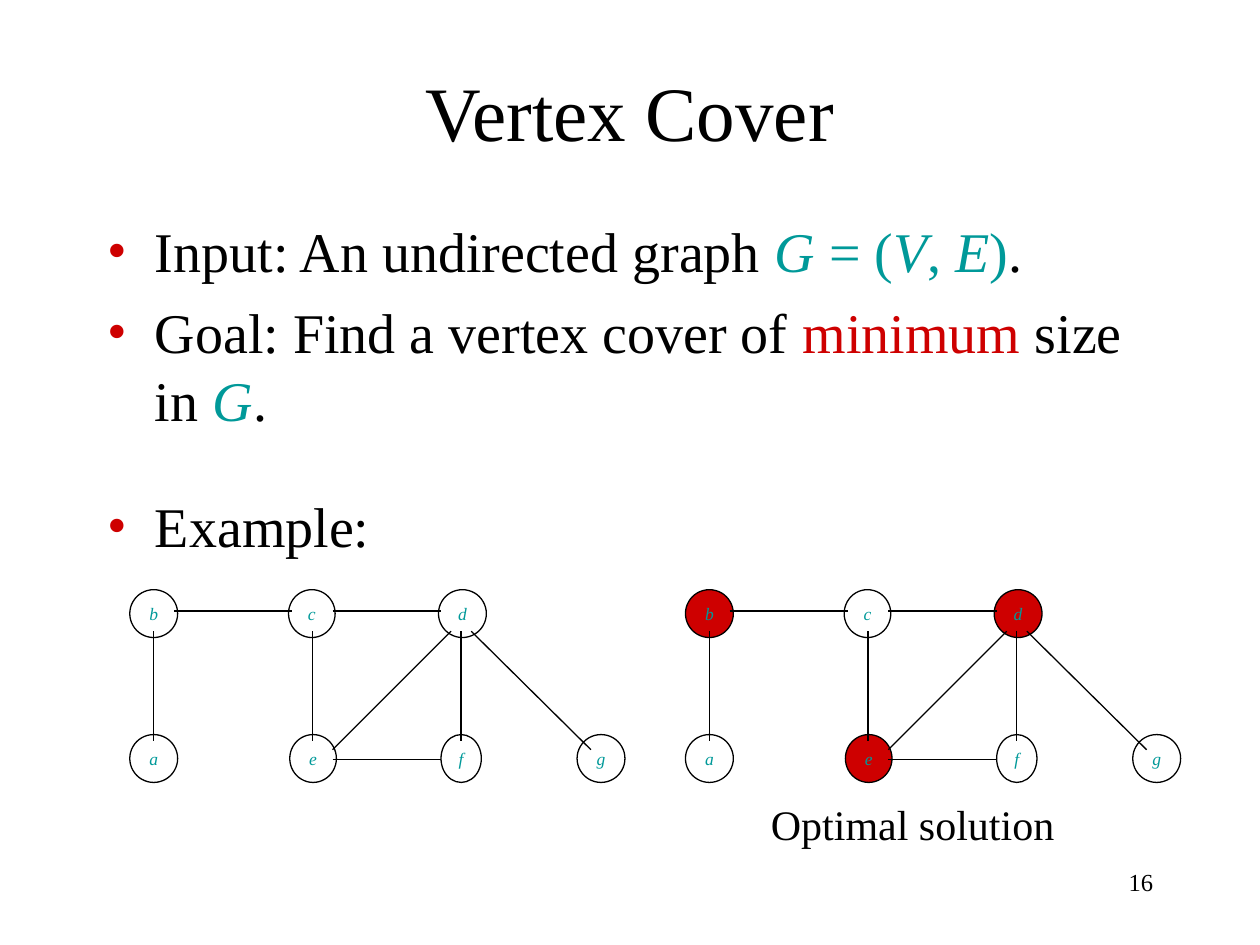
from dataclasses import dataclass

from lxml import etree
from pptx import Presentation
from pptx import util as u
from pptx.dml.color import RGBColor
from pptx.enum import shapes, text
from pptx.oxml import ns

BLACK = RGBColor(0x00, 0x00, 0x00)
RED = RGBColor(0xCE, 0x00, 0x00)
TEAL = RGBColor(0x00, 0x99, 0x99)
FONT = "Times New Roman"

NODE_HEIGHT = 0.38
UPPER_ROW, LOWER_ROW = 4.68, 5.83
LINE_WIDTH = u.Pt(0.75)
SOLUTION_SHIFT = 4.41


@dataclass(frozen=True)
class Vertex:
    label: str
    left: float
    top: float
    width: float = 0.38


@dataclass(frozen=True)
class Edge:
    x1: float
    y1: float
    x2: float
    y2: float


@dataclass(frozen=True)
class Phrase:
    words: str
    color: RGBColor = BLACK
    italic: bool = False


@dataclass(frozen=True)
class Bullet:
    phrases: tuple[Phrase, ...]
    space_before: float


VERTICES = (
    Vertex("b", 1.03, UPPER_ROW),
    Vertex("a", 1.03, LOWER_ROW),
    Vertex("c", 2.29, UPPER_ROW, 0.37),
    Vertex("d", 3.48, UPPER_ROW),
    Vertex("e", 2.3, LOWER_ROW, 0.37),
    Vertex("f", 3.5, LOWER_ROW, 0.32),
    Vertex("g", 4.58, LOWER_ROW),
)
EDGES = (
    Edge(1.38, 4.85, 2.32, 4.85),  # b-c
    Edge(1.22, 5.01, 1.22, 5.88),  # b-a
    Edge(2.64, 4.85, 3.5, 4.85),  # c-d
    Edge(2.48, 5.01, 2.48, 5.88),  # c-e
    Edge(3.66, 5.01, 3.66, 5.88),  # d-f
    Edge(2.64, 6.03, 3.5, 6.03),  # e-f
    Edge(3.58, 5.01, 2.64, 5.95),  # d-e
    Edge(3.74, 5.01, 4.69, 5.95),  # d-g
)
BULLETS = (
    Bullet((
        Phrase("Input: An undirected graph "),
        Phrase("G", TEAL, True),
        Phrase(" = (", TEAL),
        Phrase("V", TEAL, True),
        Phrase(", ", TEAL),
        Phrase("E", TEAL, True),
        Phrase(")", TEAL),
        Phrase("."),
    ), 0),
    Bullet((
        Phrase("Goal: Find a vertex cover of "),
        Phrase("minimum", RED),
        Phrase(" size in "),
        Phrase("G", TEAL, True),
        Phrase("."),
    ), 8),
    Bullet((Phrase("Example:"),), 34),
)


def style(font, size: float, color: RGBColor = BLACK, italic: bool = False) -> None:
    font.name = FONT
    font.size = u.Pt(size)
    font.color.rgb = color
    font.italic = italic


def place(shape, left: float, top: float, width: float, height: float) -> None:
    shape.left, shape.top = u.Inches(left), u.Inches(top)
    shape.width, shape.height = u.Inches(width), u.Inches(height)


def add_bullet_mark(paragraph) -> None:
    properties = paragraph._p.get_or_add_pPr()
    properties.set("marL", str(u.Inches(0.38)))
    properties.set("indent", str(-u.Inches(0.38)))
    mark_color = etree.SubElement(properties, ns.qn("a:buClr"))
    etree.SubElement(mark_color, ns.qn("a:srgbClr")).set("val", str(RED))
    etree.SubElement(properties, ns.qn("a:buFont")).set("typeface", FONT)
    etree.SubElement(properties, ns.qn("a:buChar")).set("char", "•")


def fill_title(title) -> None:
    place(title, 0.75, 0.25, 8.5, 1.25)
    frame = title.text_frame
    frame.text = "Vertex Cover"
    frame.auto_size = text.MSO_AUTO_SIZE.NONE
    frame.vertical_anchor = text.MSO_ANCHOR.MIDDLE
    frame.paragraphs[0].alignment = text.PP_ALIGN.CENTER
    style(frame.paragraphs[0].runs[0].font, 44)


def fill_body(body) -> None:
    place(body, 0.75, 1.67, 8.5, 5)
    frame = body.text_frame
    frame.auto_size = text.MSO_AUTO_SIZE.NONE
    for index, bullet in enumerate(BULLETS):
        paragraph = frame.add_paragraph() if index else frame.paragraphs[0]
        add_bullet_mark(paragraph)
        paragraph.space_before = u.Pt(bullet.space_before)
        for phrase in bullet.phrases:
            run = paragraph.add_run()
            run.text = phrase.words
            style(run.font, 32, phrase.color, phrase.italic)


def add_vertex(slide, vertex: Vertex, shift: float, covered: bool) -> None:
    circle = slide.shapes.add_shape(
        shapes.MSO_SHAPE.OVAL,
        u.Inches(vertex.left + shift), u.Inches(vertex.top),
        u.Inches(vertex.width), u.Inches(NODE_HEIGHT),
    )
    circle.shadow.inherit = False
    if covered:
        circle.fill.solid()
        circle.fill.fore_color.rgb = RED
    else:
        circle.fill.background()
    circle.line.color.rgb = BLACK
    circle.line.width = LINE_WIDTH
    frame = circle.text_frame
    frame.text = vertex.label
    frame.word_wrap = False
    frame.vertical_anchor = text.MSO_ANCHOR.MIDDLE
    frame.paragraphs[0].alignment = text.PP_ALIGN.CENTER
    style(frame.paragraphs[0].runs[0].font, 10, TEAL, True)


def add_edge(slide, edge: Edge, shift: float) -> None:
    line = slide.shapes.add_connector(
        shapes.MSO_CONNECTOR.STRAIGHT,
        u.Inches(edge.x1 + shift), u.Inches(edge.y1),
        u.Inches(edge.x2 + shift), u.Inches(edge.y2),
    )
    line.line.color.rgb = BLACK
    line.line.width = LINE_WIDTH
    etree.SubElement(line._element.spPr, ns.qn("a:effectLst"))


def add_graph(slide, shift: float = 0, cover: str = "") -> None:
    """Draw the example graph, with the vertices named in cover filled."""
    for vertex in VERTICES:
        add_vertex(slide, vertex, shift, vertex.label in cover)
    for edge in EDGES:
        add_edge(slide, edge, shift)


def add_label(slide, words: str, left: float, top: float, width: float,
              size: float, alignment: text.PP_ALIGN) -> None:
    label = slide.shapes.add_textbox(
        u.Inches(left), u.Inches(top), u.Inches(width), u.Inches(0.5))
    frame = label.text_frame
    frame.text = words
    frame.word_wrap = True
    frame.paragraphs[0].alignment = alignment
    style(frame.paragraphs[0].runs[0].font, size)


def main() -> None:
    deck = Presentation()
    deck.slide_width, deck.slide_height = u.Inches(10), u.Inches(7.5)
    slide = deck.slides.add_slide(deck.slide_layouts[1])
    fill_title(slide.shapes.title)
    fill_body(slide.placeholders[1])
    add_graph(slide)
    add_graph(slide, SOLUTION_SHIFT, cover="bde")
    add_label(slide, "Optimal solution", 6.02, 6.29, 2.5, 24, text.PP_ALIGN.LEFT)
    add_label(slide, "16", 7.17, 6.83, 2.08, 14, text.PP_ALIGN.RIGHT)
    deck.save("out.pptx")


if __name__ == "__main__":
    main()
